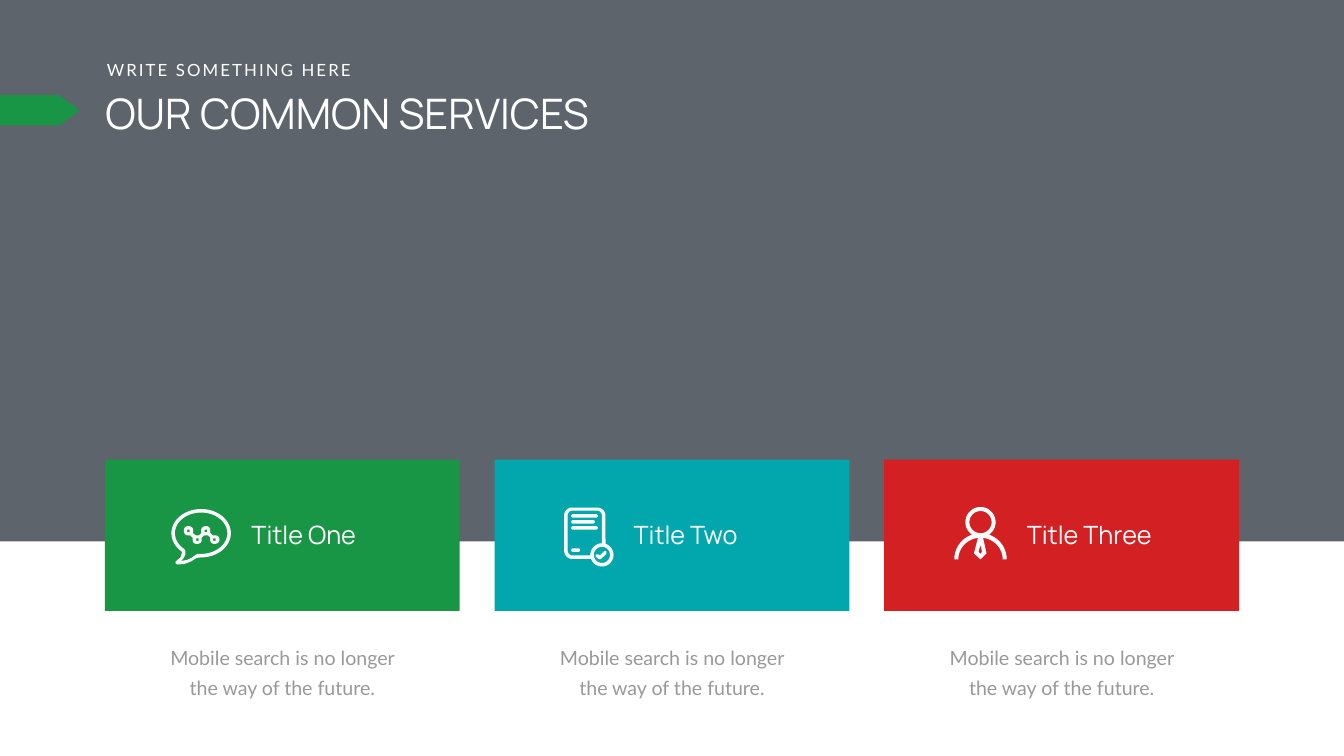
from dataclasses import dataclass
from math import cos, radians, sin

from pptx import Presentation
from pptx.dml.color import RGBColor
from pptx.enum import shapes, text
from pptx.oxml.ns import qn
from pptx.util import Pt
from lxml import etree

PX = 9144  # EMU per px, 100 px to the inch
WIDTH, HEIGHT = 2666, 1500


@dataclass(frozen=True)
class Theme:
    slate: str = "363E48"
    green: str = "199645"
    teal: str = "02A7AD"
    red: str = "D32023"
    white: str = "FFFFFF"
    grey: str = "999999"
    heading_font: str = "Manrope"
    body_font: str = "Lato"
    heading: int = 60
    card_title: int = 36
    body: int = 28
    kicker: int = 24
    body_leading: int = 43


THEME = Theme()


def paint(shape, color):
    shape.shadow.inherit = False
    shape.fill.solid()
    shape.fill.fore_color.rgb = RGBColor.from_string(color)
    shape.line.fill.background()
    return shape


def add_preset(slide, kind, box, color):
    shape = slide.shapes.add_shape(kind, *(n * PX for n in box))
    return paint(shape, color)


def add_text(slide, box, words, font, size, color, wrap=True):
    shape = slide.shapes.add_textbox(*(n * PX for n in box))
    shape.text_frame.word_wrap = wrap
    paragraph = shape.text_frame.paragraphs[0]
    paragraph.text = words
    paragraph.font.name = font
    paragraph.font.size = Pt(size)
    paragraph.font.color.rgb = RGBColor.from_string(color)
    return shape


# Outlines: contours are lists of points; inner contours make holes
def arc(x, y, rx, ry, start, end):
    steps = max(4, round(abs(end - start) / 6))
    angles = [radians(start + (end - start) * i / steps) for i in range(steps + 1)]
    return [(x + rx * cos(a), y + ry * sin(a)) for a in angles]


def circle(x, y, radius):
    return arc(x, y, radius, radius, 0, 360)


def square(x, y, side):
    return [(x, y), (x + side, y), (x + side, y + side), (x, y + side)]


def add_outline(slide, left, top, contours):
    placed = [[((left + x) * PX, (top + y) * PX) for x, y in contour]
              for contour in contours]
    builder = slide.shapes.build_freeform(*placed[0][0], scale=1.0)
    for index, contour in enumerate(placed):
        if index:
            builder.move_to(*contour[0])
        builder.add_line_segments(contour[1:], close=True)
    return paint(builder.convert_to_shape(), THEME.white)


# Icons
def add_chat_icon(slide, left, top):
    tail = [(50, 97), (39, 104), (26, 109), (13, 110), (9, 109), (8, 105),
            (11, 102), (18, 96), (21, 87)]
    inner_tail = [(52, 89), (48, 91), (40, 97), (31, 101), (19, 103), (24, 98),
                  (28, 90), (28, 84)]
    add_outline(slide, left, top, [
        arc(59, 48, 59, 48, 130, 450) + tail,
        arc(59, 48, 52, 41, 130, 450) + inner_tail,
    ])
    zigzag = [
        (63, 18), (57, 18), (52, 13), (52, 6), (50, 2), (46, 0), (41, 0), (37, 2),
        (34, 6), (34, 12), (35, 13), (30, 18), (23, 18), (17, 13), (18, 12), (18, 6),
        (16, 2), (11, 0), (6, 0), (2, 2), (0, 6), (0, 12), (2, 16), (6, 18),
        (12, 18), (17, 23), (17, 29), (19, 33), (23, 35), (29, 35), (33, 33),
        (35, 29), (35, 23), (40, 18), (47, 18), (52, 22), (52, 29), (54, 33),
        (58, 35), (63, 35), (68, 33), (70, 29), (70, 24), (68, 20),
    ]
    nodes = [square(x, y, 5) for x, y in ((6, 7), (24, 24), (41, 7), (58, 24))]
    add_outline(slide, left + 25, top + 34, [zigzag] + nodes)


def add_document_icon(slide, left, top):
    page = (arc(65, 16, 17, 16, 0, -90) + arc(16, 16, 16, 16, 270, 180)
            + arc(16, 85, 16, 17, 180, 90) + arc(75, 94, 23, 23, 160, -72))
    page_hole = (arc(65, 16, 10, 10, 0, -90) + arc(16, 16, 9, 10, 270, 180)
                 + arc(16, 85, 9, 10, 180, 90) + arc(75, 94, 23, 23, 178, 270))
    add_outline(slide, left, top, [page, page_hole, circle(75, 94, 16)])
    check = [(17, 1), (9, 9), (6, 7), (2, 7), (0, 10), (2, 12), (6, 16),
             (9, 17), (11, 16), (22, 6), (22, 1), (19, 0)]
    add_outline(slide, left + 62, top + 86, [check])
    for y, width in ((13, 53), (25, 47), (37, 53), (81, 18)):
        bar = add_preset(slide, shapes.MSO_SHAPE.ROUNDED_RECTANGLE,
                         (left + 14, top + y, width, 7), THEME.white)
        bar.adjustments[0] = 0.5


def add_person_icon(slide, left, top):
    tie = [(57, 61), (64, 92), (52, 104), (39, 92), (47, 61)]
    figure = (arc(52, 104, 52, 52, 180, 250) + arc(52, 30, 30, 30, 125, 415)
              + arc(52, 104, 52, 52, 290, 360) + arc(52, 104, 44, 43, 360, 280)
              + tie + arc(52, 104, 44, 43, 260, 180))
    tie_hole = [(52, 93), (48, 89), (52, 75), (55, 89)]
    add_outline(slide, left, top, [figure, circle(52, 30, 22), tie_hole])


# Regions
def add_backdrop(slide, box):
    shape = add_preset(slide, shapes.MSO_SHAPE.RECTANGLE, box, THEME.slate)
    color = shape.fill._xPr.find(qn("a:solidFill"))[0]
    etree.SubElement(color, qn("a:alpha")).set("val", "80000")


def add_header(slide, left, top):
    add_text(slide, (left, top + 55, 1205, 111), "OUR COMMON SERVICES",
             THEME.heading_font, THEME.heading, THEME.white)
    kicker = add_text(slide, (left + 3, top, 514, 50), "WRITE SOMETHING HERE",
                      THEME.body_font, THEME.kicker, THEME.white, wrap=False)
    run = kicker.text_frame.paragraphs[0].runs[0]
    run.font._element.set("spc", "300")
    marker = add_preset(slide, shapes.MSO_SHAPE.PENTAGON,
                        (0, top + 76, 158, 60), THEME.green)
    marker.adjustments[0] = 0.68


def add_card(slide, box, color, title, title_x, add_icon, icon_x, icon_y):
    left, top, width, height = box
    add_preset(slide, shapes.MSO_SHAPE.RECTANGLE, box, color)
    add_icon(slide, left + icon_x, top + icon_y)
    add_text(slide, (left + title_x, top + 114, 298, 71), title,
             THEME.heading_font, THEME.card_title, THEME.white)
    # Description below the card
    caption = add_text(slide, (left + 100, top + height + 45, width - 200, 138),
                       "Mobile search is no longer the way of the future.",
                       THEME.body_font, THEME.body, THEME.grey)
    frame = caption.text_frame
    frame.margin_left = frame.margin_right = 24 * PX
    frame.margin_top = frame.margin_bottom = 12 * PX
    frame.paragraphs[0].alignment = text.PP_ALIGN.CENTER
    frame.paragraphs[0].line_spacing = Pt(THEME.body_leading)


def main():
    presentation = Presentation()
    presentation.slide_width = WIDTH * PX
    presentation.slide_height = HEIGHT * PX
    slide = presentation.slides.add_slide(presentation.slide_layouts[6])

    add_backdrop(slide, (0, 0, WIDTH, 1074))
    add_header(slide, 199, 113)
    cards = (
        (THEME.green, "Title One", 281, add_chat_icon, 132, 98),
        (THEME.teal, "Title Two", 266, add_document_icon, 138, 95),
        (THEME.red, "Title Three", 273, add_person_icon, 139, 94),
    )
    for index, card in enumerate(cards):
        add_card(slide, (208 + 773 * index, 912, 704, 300), *card)

    presentation.save("out.pptx")


if __name__ == "__main__":
    main()
